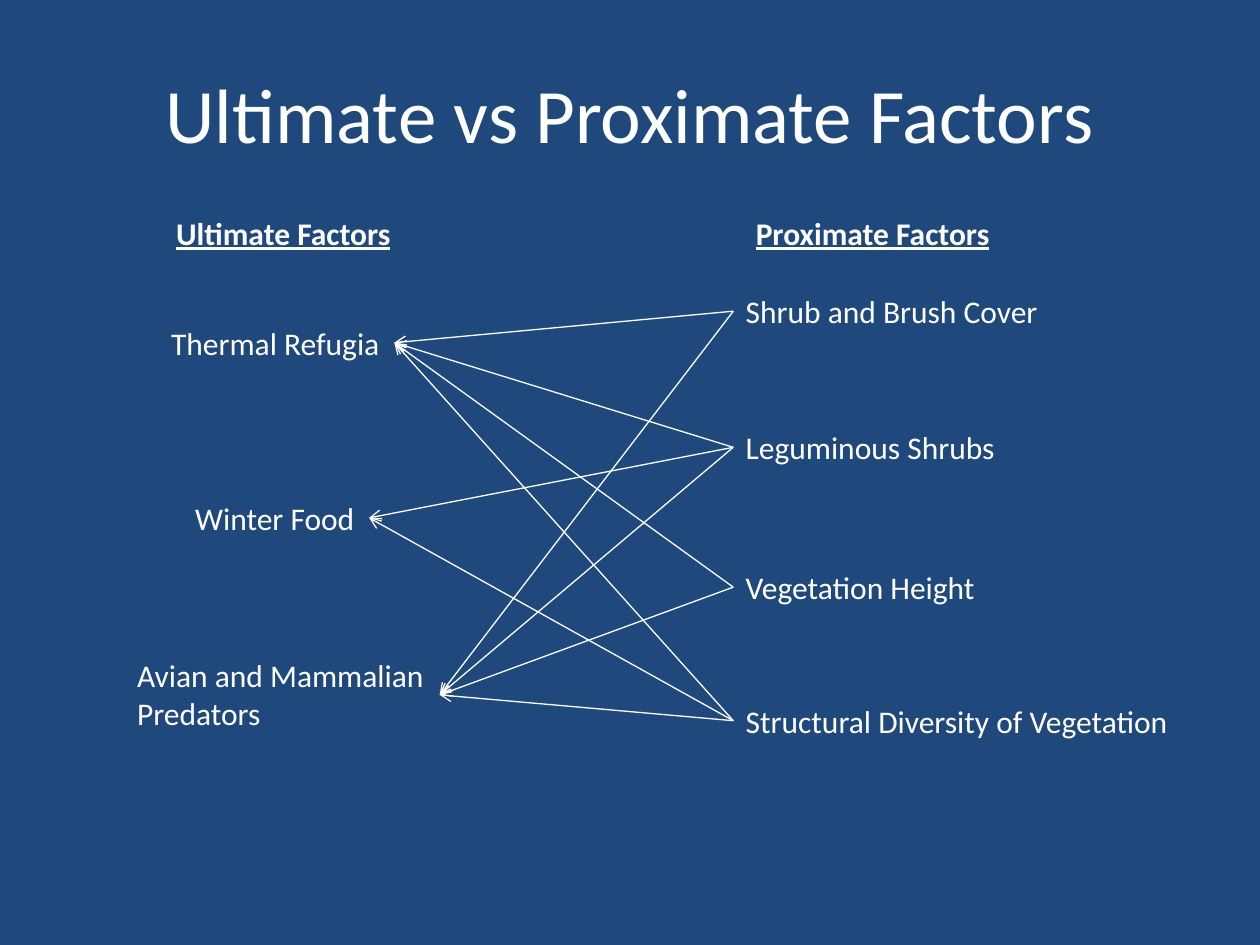
from lxml import etree
from pptx import Presentation
from pptx.dml.color import RGBColor
from pptx.enum.shapes import MSO_CONNECTOR
from pptx.enum.text import MSO_ANCHOR, MSO_AUTO_SIZE, PP_ALIGN
from pptx.oxml.ns import qn
from pptx.util import Inches, Pt

NAVY = RGBColor(0x1F, 0x49, 0x7D)
WHITE = RGBColor(0xFF, 0xFF, 0xFF)
LEFT_SIDE, RIGHT_SIDE = 1, 3
LINE_HEIGHT = 0.4
HEADING_TOP = 1.65
PROXIMATE_LEFT = 5.82

ULTIMATE = {
    "Thermal Refugia": (1.26, 2.52, 1.87, LINE_HEIGHT),
    "Winter Food": (1.45, 3.91, 1.48, LINE_HEIGHT),
    "Avian and Mammalian Predators": (0.99, 5.16, 2.5, 0.71),
}
PROXIMATE = {
    "Shrub and Brush Cover": (2.27, 2.55),
    "Leguminous Shrubs": (3.35, 2.2),
    "Vegetation Height": (4.46, 2.04),
    "Structural Diversity of Vegetation": (5.52, 3.59),
}
INFLUENCES = {
    "Shrub and Brush Cover": ("Thermal Refugia", "Avian and Mammalian Predators"),
    "Leguminous Shrubs": tuple(ULTIMATE),
    "Vegetation Height": ("Thermal Refugia", "Avian and Mammalian Predators"),
    "Structural Diversity of Vegetation": tuple(ULTIMATE),
}


def add_text(slide, text, left, top, width, height, size=18, wrap=False):
    """Add a white text box and return it with its run."""
    box = slide.shapes.add_textbox(*map(Inches, (left, top, width, height)))
    box.text_frame.word_wrap = wrap
    box.text_frame.auto_size = MSO_AUTO_SIZE.SHAPE_TO_FIT_TEXT
    run = box.text_frame.paragraphs[0].add_run()
    run.text = text
    run.font.name = "Calibri"
    run.font.size = Pt(size)
    run.font.color.rgb = WHITE
    return box, run


def add_title(slide, text):
    """Add the centred slide title."""
    title, _ = add_text(slide, text, 0.5, 0.27, 9, 1.25, size=44, wrap=True)
    title.text_frame.auto_size = MSO_AUTO_SIZE.NONE
    title.text_frame.vertical_anchor = MSO_ANCHOR.MIDDLE
    title.text_frame.paragraphs[0].alignment = PP_ALIGN.CENTER


def add_heading(slide, text, left, width):
    """Add a bold underlined column heading."""
    _, run = add_text(slide, text, left, HEADING_TOP, width, LINE_HEIGHT)
    run.font.bold = True
    run.font.underline = True


def add_influence(slide, cause, effect):
    """Join a proximate factor to an ultimate factor with an arrow."""
    arrow = slide.shapes.add_connector(MSO_CONNECTOR.STRAIGHT, 0, 0, 0, 0)
    arrow.begin_connect(cause, LEFT_SIDE)
    arrow.end_connect(effect, RIGHT_SIDE)
    arrow.line.color.rgb = WHITE
    arrow.line.width = Pt(0.75)
    etree.SubElement(arrow.line._get_or_add_ln(), qn("a:tailEnd"), type="arrow")
    etree.SubElement(arrow._element.spPr, qn("a:effectLst"))


def main():
    """Build the slide and save it."""
    deck = Presentation()
    deck.slide_width, deck.slide_height = Inches(10), Inches(7.5)
    slide = deck.slides.add_slide(deck.slide_layouts[6])
    slide.background.fill.solid()
    slide.background.fill.fore_color.rgb = NAVY

    add_title(slide, "Ultimate vs Proximate Factors")
    add_heading(slide, "Ultimate Factors", 1.3, 1.92)
    add_heading(slide, "Proximate Factors", 5.9, 2.07)

    factors = {}
    for name, (left, top, width, height) in ULTIMATE.items():
        wrap = height > LINE_HEIGHT
        factors[name], _ = add_text(slide, name, left, top, width, height, wrap=wrap)
    for name, (top, width) in PROXIMATE.items():
        factors[name], _ = add_text(slide, name, PROXIMATE_LEFT, top, width, LINE_HEIGHT)

    for cause, effects in INFLUENCES.items():
        for effect in effects:
            add_influence(slide, factors[cause], factors[effect])

    deck.save("out.pptx")


if __name__ == "__main__":
    main()
